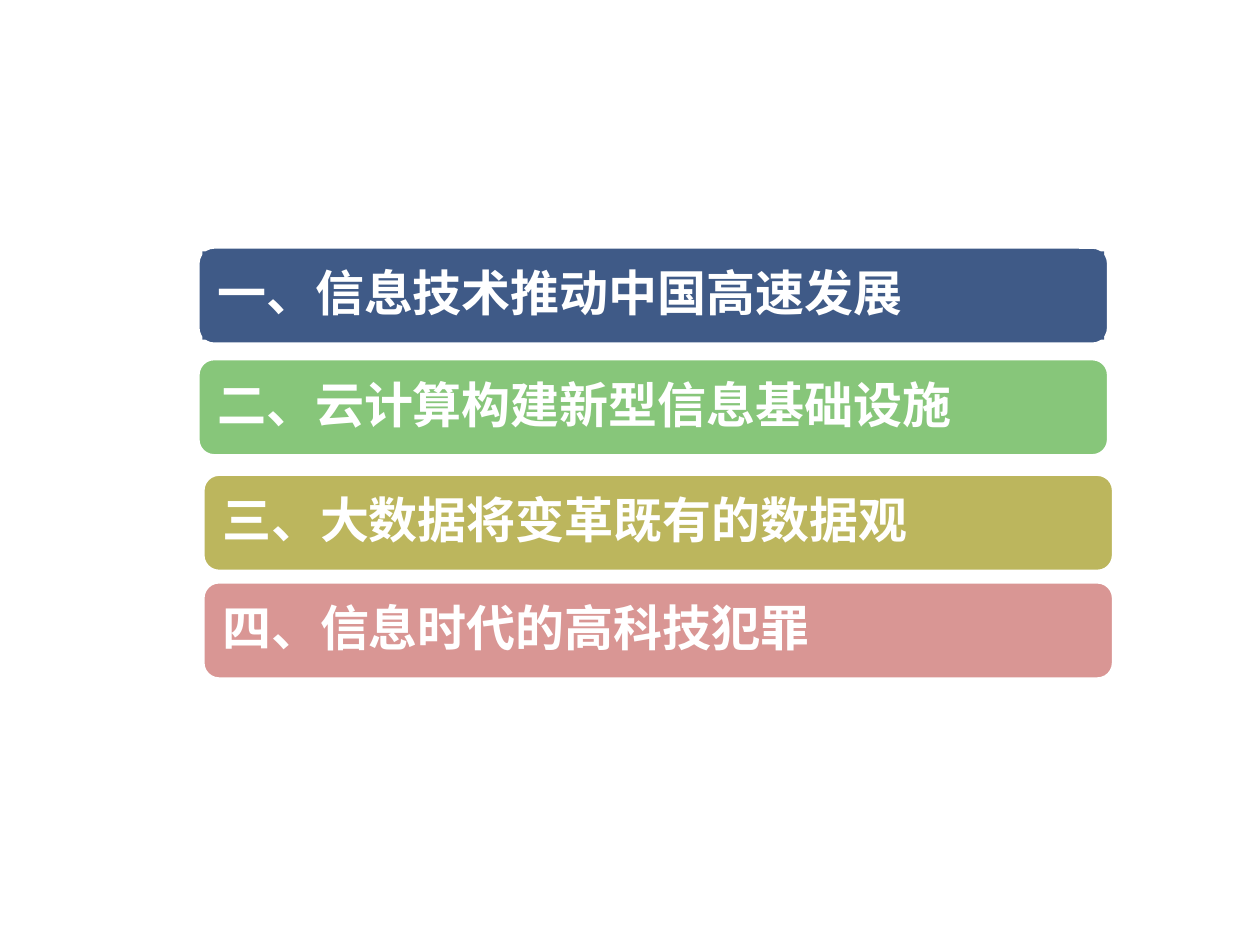
from dataclasses import dataclass
from lxml.etree import SubElement
from pptx import Presentation
from pptx.dml.color import RGBColor
from pptx.enum.shapes import MSO_SHAPE
from pptx.enum.text import MSO_ANCHOR, PP_ALIGN
from pptx.oxml.ns import qn
from pptx.util import Cm, Pt

ROWS = [
    ("一、信息技术推动中国高速发展", "navy", 3.99, 4.98, True),
    ("二、云计算构建新型信息基础设施", "green", 3.99, 7.23, False),
    ("三、大数据将变革既有的数据观", "olive", 4.09, 9.56, False),
    ("四、信息时代的高科技犯罪", "pink", 4.09, 11.73, False),
]
WIDE, HIGH, EDGE, PAD = 18.36, 1.96, 0.09, 0.3


@dataclass(frozen=True)
class Theme:
    navy: str = "3F5A87"
    green: str = "87C67A"
    olive: str = "BCB65D"
    pink: str = "D99694"
    white: str = "FFFFFF"
    font: str = "Noto Sans CJK SC"
    size: int = 28
    line: int = 2


theme = Theme()


def tint(name):
    return RGBColor.from_string(getattr(theme, name))


def paint(shape, name):
    shape.fill.solid()
    shape.fill.fore_color.rgb = tint(name)
    shape.shadow.inherit = False


def add_bar(group, name, left, top):
    bar = group.shapes.add_shape(
        MSO_SHAPE.ROUNDED_RECTANGLE, Cm(left), Cm(top), Cm(WIDE), Cm(HIGH))
    paint(bar, name)
    bar.line.color.rgb = tint("white")
    bar.line.width = Pt(theme.line)


def add_label(group, text, name, left, top, solid):
    area = (Cm(left + EDGE), Cm(top + EDGE),
            Cm(WIDE - 2 * EDGE), Cm(HIGH - 2 * EDGE))
    if solid:
        box = group.shapes.add_shape(MSO_SHAPE.RECTANGLE, *area)
        paint(box, name)
        box.line.fill.background()
    else:
        box = group.shapes.add_textbox(*area)
    frame = box.text_frame
    frame.word_wrap = True
    frame.vertical_anchor = MSO_ANCHOR.MIDDLE
    for side in ("left", "top", "right", "bottom"):
        setattr(frame, f"margin_{side}", Cm(PAD))
    para = frame.paragraphs[0]
    para.alignment = PP_ALIGN.LEFT
    para.line_spacing = 0.9
    para.space_after = Pt(0.35 * theme.size)
    run = para.add_run()
    run.text = text
    font = run.font
    font.name = theme.font
    font.size = Pt(theme.size)
    font.bold = True
    font.color.rgb = tint("white")
    SubElement(run._r.get_or_add_rPr(), qn("a:ea"), typeface=theme.font)


def main():
    deck = Presentation()
    deck.slide_width, deck.slide_height = Cm(25.4), Cm(19.05)
    slide = deck.slides.add_slide(deck.slide_layouts[6])
    for text, name, left, top, solid in ROWS:
        group = slide.shapes.add_group_shape()
        add_bar(group, name, left, top)
        add_label(group, text, name, left, top, solid)
    deck.save("out.pptx")


if __name__ == "__main__":
    main()
